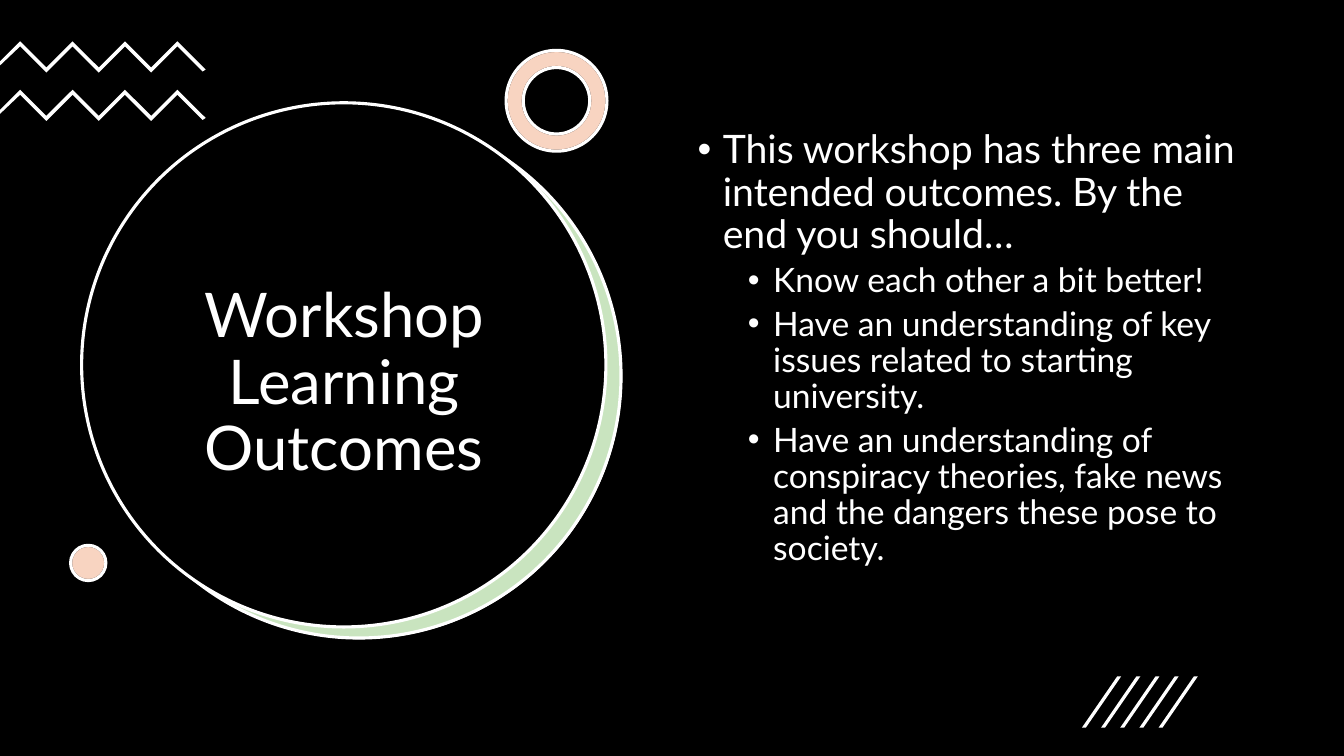
from lxml import etree
from pptx import Presentation
from pptx.dml.color import RGBColor
from pptx.enum.shapes import MSO_SHAPE
from pptx.enum.text import MSO_ANCHOR, PP_ALIGN
from pptx.oxml.ns import qn
from pptx.util import Inches, Pt

RECT, OVAL = MSO_SHAPE.RECTANGLE, MSO_SHAPE.OVAL
DONUT, STRIPE = MSO_SHAPE.DONUT, MSO_SHAPE.PARALLELOGRAM
TOP, MIDDLE = MSO_ANCHOR.TOP, MSO_ANCHOR.MIDDLE
LEFT, CENTER = PP_ALIGN.LEFT, PP_ALIGN.CENTER

BLACK = RGBColor(0x00, 0x00, 0x00)
WHITE = RGBColor(0xFF, 0xFF, 0xFF)
GREEN = RGBColor(0x4E, 0xA7, 0x2E)
ORANGE = RGBColor(0xE9, 0x71, 0x32)
FONT = "Lato"
SLIDE_W, SLIDE_H = 13.33, 7.5

OUTCOMES = [
    (0, "This workshop has three main intended outcomes. By the end you should…"),
    (1, "Know each other a bit better!"),
    (1, "Have an understanding of key issues related to starting university."),
    (1, "Have an understanding of conspiracy theories, fake news and the "
        "dangers these pose to society."),
]


def style(sp, fill, line=None, alpha=None):
    sp.shadow.inherit = False
    sp.fill.solid()
    sp.fill.fore_color.rgb = fill
    if alpha is not None:
        color = sp.fill._xPr.find(qn("a:solidFill"))[0]
        etree.SubElement(color, qn("a:alpha")).set("val", str(alpha * 1000))
    if line is None:
        sp.line.fill.background()
    else:
        sp.line.color.rgb = line
        sp.line.width = Pt(2.25)


def add_shape(s, kind, x, y, w, h, fill, line=None, alpha=None, adjust=None):
    sp = s.shapes.add_shape(kind, Inches(x), Inches(y), Inches(w), Inches(h))
    if adjust is not None:
        sp.adjustments[0] = adjust
    style(sp, fill, line, alpha)


def add_text(p, text, size, align=LEFT, before=0, level=0, bullet=None):
    p.alignment = align
    p.line_spacing = 0.9
    p.space_before = Pt(before)
    p.level = level
    if bullet:
        pPr = p._p.get_or_add_pPr()
        pPr.set("marL", str(Inches(0.25 + 0.5 * level)))
        pPr.set("indent", str(Inches(-0.25)))
        etree.SubElement(pPr, qn("a:buFont")).set("typeface", "Arial")
        etree.SubElement(pPr, qn("a:buChar")).set("char", bullet)
    r = p.add_run()
    r.text = text
    r.font.name = FONT
    r.font.size = Pt(size)
    r.font.color.rgb = WHITE


def add_frame(s, x, y, w, h, anchor):
    tf = s.shapes.add_textbox(Inches(x), Inches(y), Inches(w), Inches(h)).text_frame
    tf.word_wrap = True
    tf.vertical_anchor = anchor
    return tf


def title_circle(s, x, y, size):
    # Black disc over a tinted disc that shows as a crescent
    add_shape(s, OVAL, x + 0.16, y + 0.12, size, size, WHITE)
    add_shape(s, OVAL, x + 0.15, y + 0.11, size, size, GREEN, WHITE, alpha=30)
    add_shape(s, OVAL, x, y, size, size, BLACK, WHITE)
    tf = add_frame(s, x + 0.4, y + 1.03, 4.41, 3.52, MIDDLE)
    add_text(tf.paragraphs[0], "Workshop Learning Outcomes", 44, align=CENTER)


def zigzag(s, x, y):
    # Band of peaks and valleys, running off the left edge
    step, thick = 0.26, 0.05
    upper = [(0.2 + step * i, step * (i % 2)) for i in range(7)]
    lower = [(px, py + thick) for px, py in reversed(upper)]
    points = upper + [(2.04, 0.28), (2.01, 0.3)] + lower + [(0, 0.24), (0, 0.2)]
    points = [(Inches(x + px), Inches(y + py)) for px, py in points]
    builder = s.shapes.build_freeform(*points[0])
    builder.add_line_segments(points[1:], close=True)
    style(builder.convert_to_shape(), WHITE)


def tinted_dot(s, kind, x, y, size, adjust=None):
    add_shape(s, kind, x, y, size, size, WHITE, BLACK, adjust=adjust)
    add_shape(s, kind, x, y, size, size, ORANGE, WHITE, alpha=30, adjust=adjust)


def outcome_list(s, x, y, w, h):
    tf = add_frame(s, x, y, w, h, TOP)
    for i, (level, text) in enumerate(OUTCOMES):
        p = tf.add_paragraph() if i else tf.paragraphs[0]
        add_text(p, text, 24 if level else 28, before=5 if level else 10,
                 level=level, bullet="•")


def stripes(s, x, y, w, h, count=5):
    stripe_w = 0.39
    gap = (w - stripe_w) / (count - 1)
    for i in range(count):
        add_shape(s, STRIPE, x + gap * i, y, stripe_w, h, WHITE, adjust=0.9)


def main():
    prs = Presentation()
    prs.slide_width, prs.slide_height = Inches(SLIDE_W), Inches(SLIDE_H)
    s = prs.slides.add_slide(prs.slide_layouts[6])
    add_shape(s, RECT, 0, 0, SLIDE_W, SLIDE_H, BLACK)
    title_circle(s, 0.81, 1.02, 5.2)
    # Decorations
    for y in (0.41, 0.89):
        zigzag(s, 0, y)
    tinted_dot(s, DONUT, 5.02, 0.5, 1, adjust=0.17)
    tinted_dot(s, OVAL, 0.7, 5.41, 0.35)
    outcome_list(s, 6.82, 1.24, 5.71, 4.76)
    stripes(s, 10.73, 6.71, 1.15, 0.51)
    prs.save("out.pptx")


if __name__ == "__main__":
    main()
